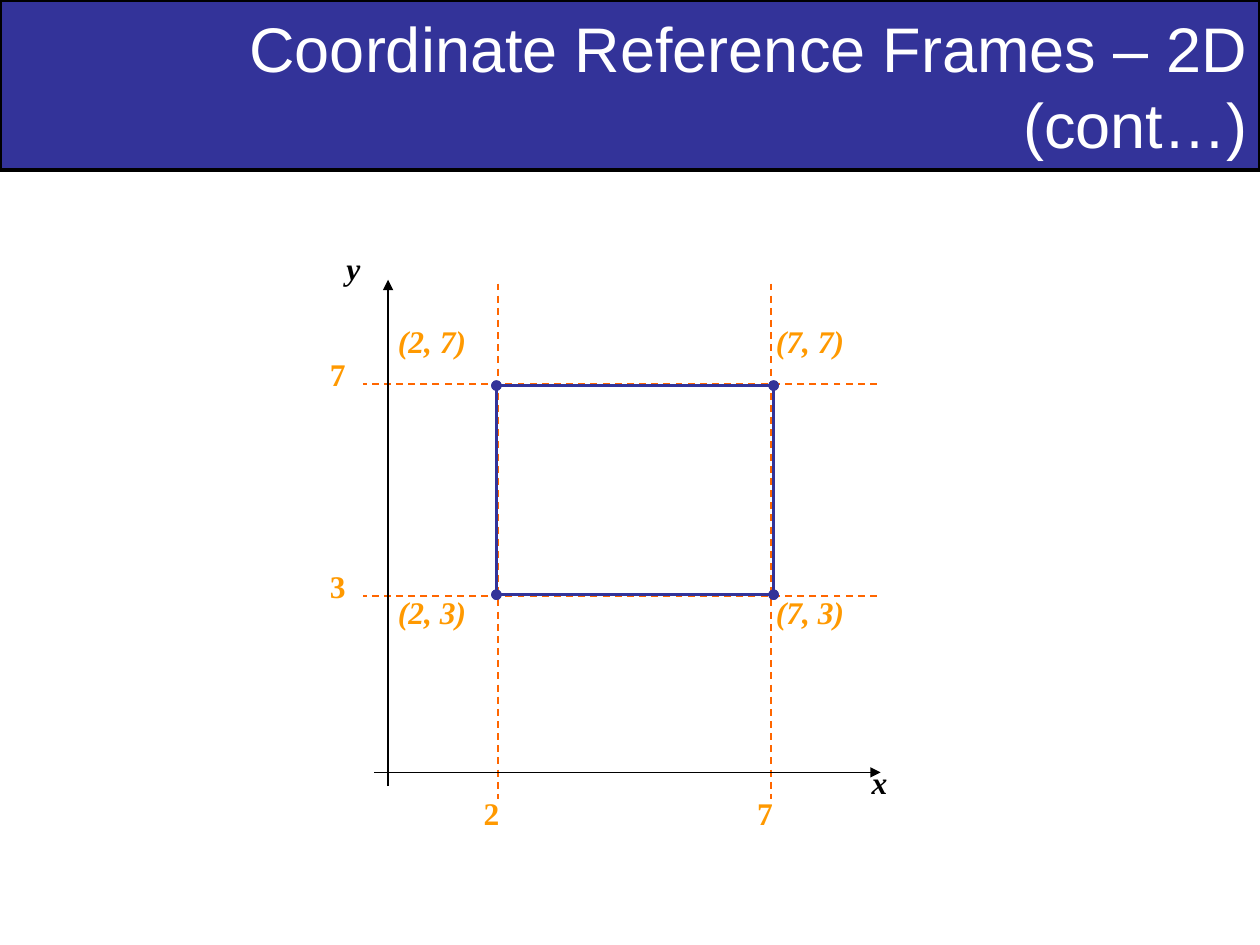
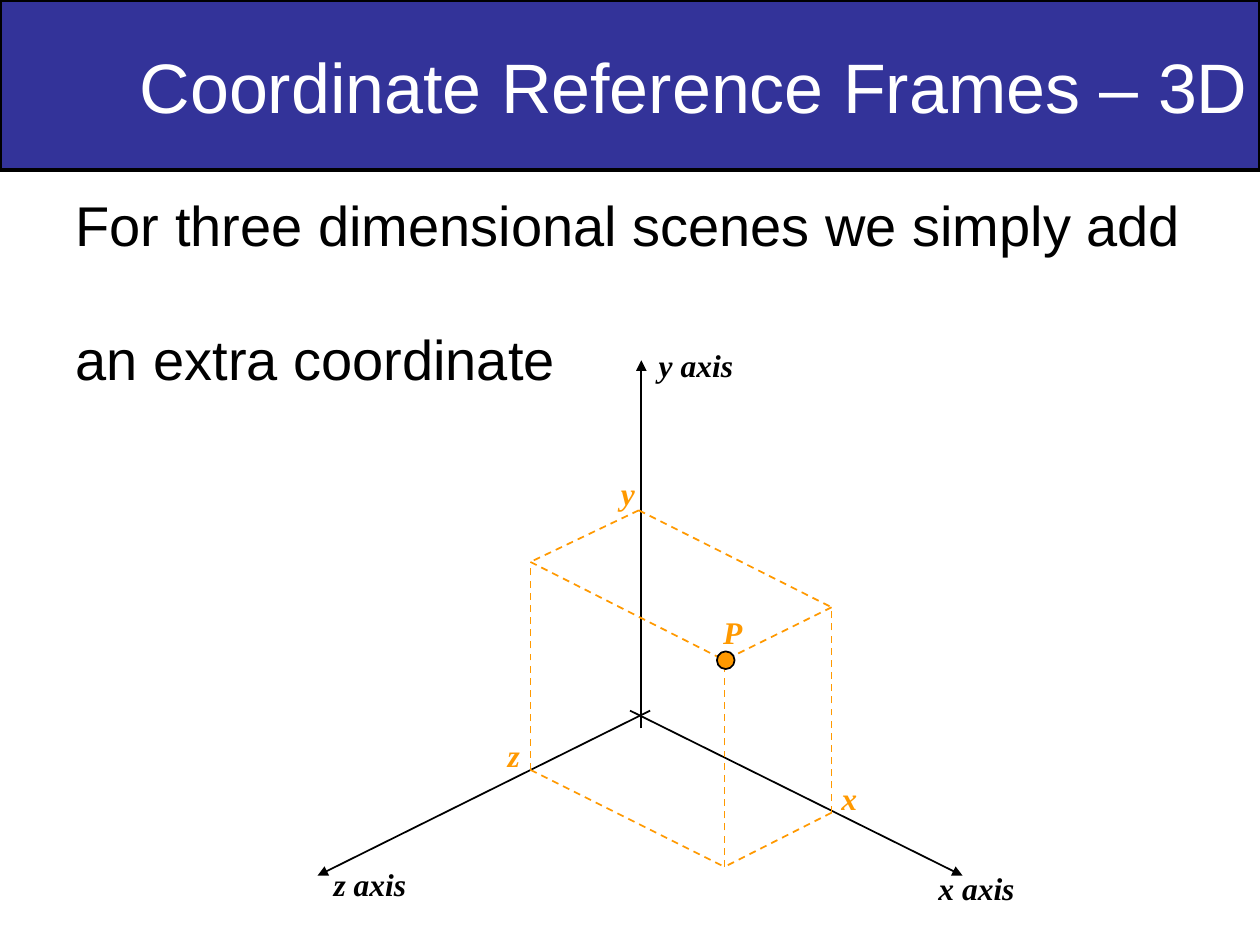
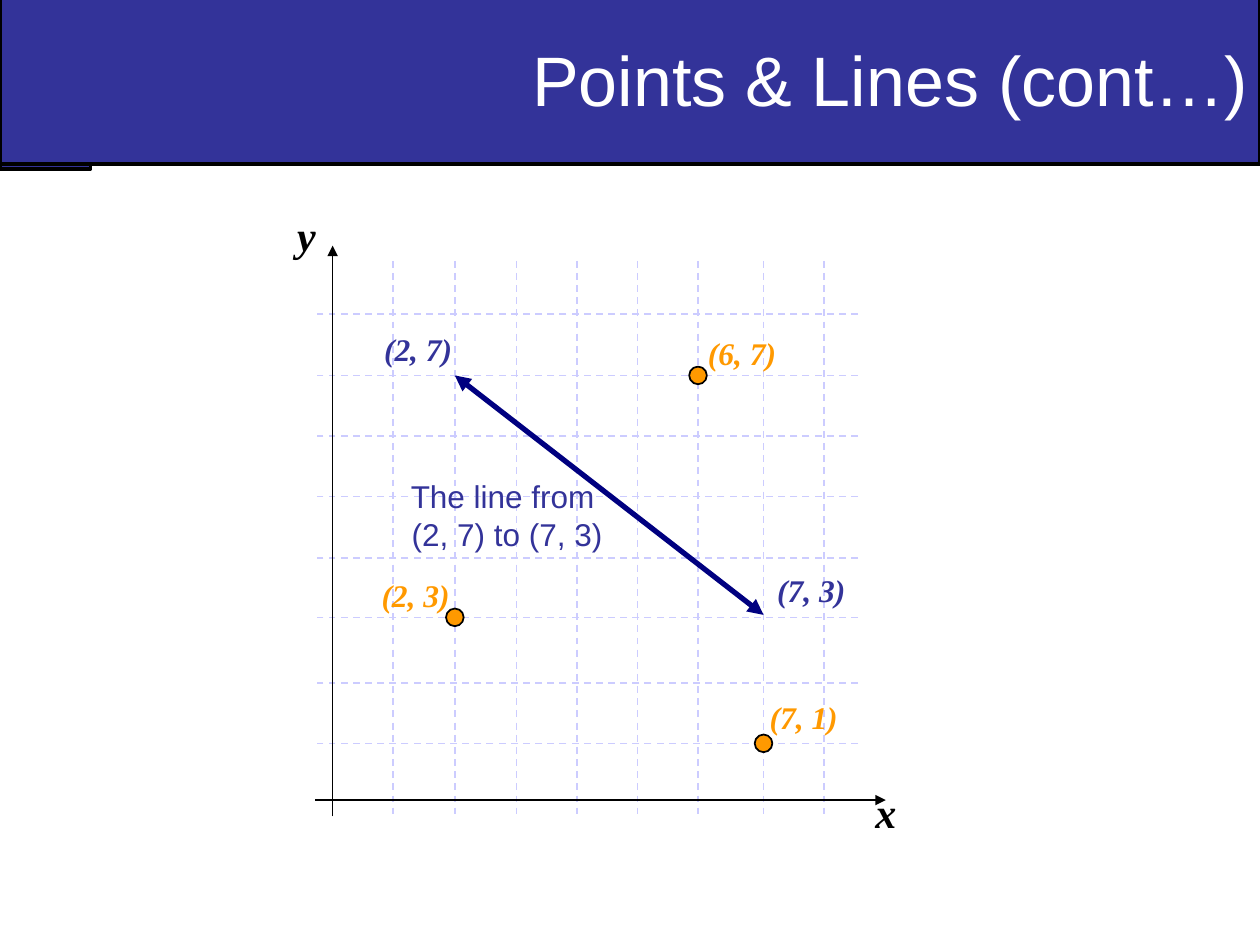
from dataclasses import dataclass
from itertools import product

from lxml import etree
from pptx import Presentation
from pptx.dml.color import RGBColor
from pptx.enum.dml import MSO_LINE
from pptx.enum.shapes import MSO_CONNECTOR, MSO_SHAPE
from pptx.enum.text import MSO_ANCHOR, MSO_AUTO_SIZE, PP_ALIGN
from pptx.oxml.ns import qn
from pptx.util import Inches, Pt

DASH = MSO_LINE.DASH
STRAIGHT = MSO_CONNECTOR.STRAIGHT
RECTANGLE, OVAL = MSO_SHAPE.RECTANGLE, MSO_SHAPE.OVAL
MIDDLE, TOP = MSO_ANCHOR.MIDDLE, MSO_ANCHOR.TOP
NO_FIT, FIT_SHAPE = MSO_AUTO_SIZE.NONE, MSO_AUTO_SIZE.SHAPE_TO_FIT_TEXT
LEFT, CENTER, RIGHT = PP_ALIGN.LEFT, PP_ALIGN.CENTER, PP_ALIGN.RIGHT


@dataclass(frozen=True)
class Theme:
    band: str = "333399"
    ink: str = "000000"
    paper: str = "FFFFFF"
    accent: str = "FF9900"
    guide: str = "FF6600"
    grid: str = "CCCCFF"
    segment: str = "000080"
    sans: str = "Arial"
    serif: str = "Times New Roman"
    title_size: int = 40
    long_title_size: int = 36
    body_size: int = 32
    axis_size: int = 24
    label_size: int = 18


THEME = Theme()


def color(value):
    return RGBColor.from_string(value)


def write_text(text_frame, text, *, size, font, ink, bold=False, italic=False,
               align=LEFT, anchor=TOP):
    text_frame.vertical_anchor = anchor
    paragraph = text_frame.paragraphs[0]
    paragraph.text = text
    paragraph.alignment = align
    paragraph.space_before = Pt(0)
    for run in paragraph.runs:
        run.font.size = Pt(size)
        run.font.name = font
        run.font.bold = bold
        run.font.italic = italic
        run.font.color.rgb = color(ink)
    return paragraph


def paint(shape, fill, line_width):
    shape.fill.solid()
    shape.fill.fore_color.rgb = color(fill)
    shape.line.color.rgb = color(THEME.ink)
    shape.line.width = Pt(line_width)


def place(shape, left, top, width, height):
    shape.left, shape.top = Inches(left), Inches(top)
    shape.width, shape.height = Inches(width), Inches(height)


class Figure:
    def __init__(self, slide, left, top):
        self.shapes = slide.shapes.add_group_shape().shapes
        self.left = left
        self.top = top

    def at(self, point):
        return Inches(self.left + point[0]), Inches(self.top + point[1])

    def line(self, start, end, ink=THEME.ink, width=1, dash=None, head=None, tail=None):
        connector = self.shapes.add_connector(STRAIGHT, *self.at(start), *self.at(end))
        connector.line.color.rgb = color(ink)
        connector.line.width = Pt(width)
        if dash:
            connector.line.dash_style = dash
        properties = connector.element.spPr
        outline = properties.find(qn("a:ln"))
        for tag, kind in (("a:headEnd", head), ("a:tailEnd", tail)):
            if kind:
                etree.SubElement(outline, qn(tag), type=kind)
        etree.SubElement(properties, qn("a:effectLst"))

    def axis(self, start, end):
        self.line(start, end, tail="triangle")

    def dot(self, center, size=0.14):
        corner = (center[0] - size / 2, center[1] - size / 2)
        shape = self.shapes.add_shape(OVAL, *self.at(corner), Inches(size), Inches(size))
        shape.shadow.inherit = False
        paint(shape, THEME.accent, 1)

    def label(self, text, corner, width, height=0.4, **changes):
        box = self.shapes.add_textbox(*self.at(corner), Inches(width), Inches(height))
        box.text_frame.word_wrap = False
        box.text_frame.auto_size = FIT_SHAPE
        style = dict(size=THEME.label_size, font=THEME.serif, ink=THEME.accent,
                     bold=True, italic=True)
        write_text(box.text_frame, text, **{**style, **changes})


def add_master_corner(presentation, slide):
    corner = slide.shapes.add_shape(RECTANGLE, 0, 0, Inches(0.72), Inches(1.34))
    corner.shadow.inherit = False
    paint(corner, THEME.band, 2)
    presentation.slide_master.element.cSld.spTree.insert(2, corner.element)


def add_title(slide, text, top=0, size=THEME.title_size):
    title = slide.shapes.title
    place(title, 0, top, 10, 1.35)
    paint(title, THEME.band, 2)
    title.text_frame.auto_size = NO_FIT
    title.text_frame.margin_left = Inches(0.3)
    write_text(title.text_frame, text, size=size, font=THEME.sans, ink=THEME.paper,
               align=RIGHT, anchor=MIDDLE)


def add_body(slide, text):
    body = slide.placeholders[1]
    place(body, 0.5, 1.46, 9, 6.04)
    body.text_frame.auto_size = NO_FIT
    paragraph = write_text(body.text_frame, text, size=THEME.body_size, font=THEME.sans,
                           ink=THEME.ink)
    properties = paragraph._p.get_or_add_pPr()
    properties.set("marL", "0")
    properties.set("indent", "0")
    etree.SubElement(properties, qn("a:buNone"))


def draw_rectangle_frame(slide, left, top):
    figure = Figure(slide, left, top)
    columns = {2: 1.45, 7: 3.62}
    rows = {3: 2.83, 7: 1.15}
    for x in columns.values():
        figure.line((x, 0.35), (x, 4.44), THEME.guide, dash=DASH)
    for y in rows.values():
        figure.line((4.46, y), (0.38, y), THEME.guide, dash=DASH)
    figure.axis((0.58, 4.34), (0.58, 0.32))
    figure.axis((0.47, 4.23), (4.49, 4.23))
    figure.label("x", (4.32, 4.11), 0.32, ink=THEME.ink)
    figure.label("y", (0.15, 0.03), 0.31, ink=THEME.ink)

    near, far, upper, lower = 1.44, 3.64, 1.16, 2.82
    corners = [(near, upper), (far, upper), (far, lower), (near, lower)]
    for start, end in zip(corners, corners[1:] + corners[:1]):
        figure.line(start, end, THEME.band, 2, head="oval", tail="oval")

    label_columns = {2: 0.56, 7: 3.56}
    label_rows = {3: 2.76, 7: 0.61}
    for x, y in product(columns, rows):
        figure.label(f"({x}, {y})", (label_columns[x], label_rows[y]), 0.74)
    for value, x in columns.items():
        figure.label(str(value), (x - 0.21, 4.35), 0.32, italic=False)
    for value, y in rows.items():
        figure.label(str(value), (0.02, y - 0.28), 0.32, italic=False)


def draw_box_in_space(slide, left, top):
    figure = Figure(slide, left, top)
    figure.axis((2.59, 3.08), (2.59, 0.16))
    figure.axis((2.5, 2.94), (5.14, 4.25))
    figure.axis((2.66, 2.94), (0.02, 4.25))
    for text, corner in (("x axis", (4.85, 4.15)), ("y axis", (2.63, 0)),
                         ("z axis", (0.05, 4.12))):
        figure.label(text, corner, 0.84, ink=THEME.ink)

    y_mark, x_mark, z_mark = (2.57, 1.35), (4.1, 3.75), (1.71, 3.41)
    z_top, x_top = (1.71, 1.76), (4.1, 2.12)
    point, floor = (3.25, 2.54), (3.25, 4.18)
    edges = ((z_mark, floor), (z_mark, z_top), (y_mark, z_top),
             (z_top, point), (floor, point), (x_top, point),
             (y_mark, x_top), (x_mark, x_top), (x_mark, floor))
    for start, end in edges:
        figure.line(start, end, THEME.accent, dash=DASH)
    figure.dot((3.26, 2.54))
    for text, corner, width in (("P", (3.14, 2.12), 0.35), ("y", (2.33, 1.01), 0.31),
                                ("z", (1.43, 3.09), 0.29), ("x", (4.08, 3.43), 0.32)):
        figure.label(text, corner, width)


def draw_points_grid(slide, left, top):
    figure = Figure(slide, left, top)
    columns = dict(enumerate((0.92, 1.41, 1.9, 2.38, 2.86, 3.34, 3.86, 4.34), 1))
    rows = dict(enumerate((4.3, 3.82, 3.3, 2.83, 2.34, 1.86, 1.38, 0.89), 1))
    for x in columns.values():
        figure.line((x, 0.47), (x, 4.86), THEME.grid, dash=DASH)
    for y in rows.values():
        figure.line((4.61, y), (0.32, y), THEME.grid, dash=DASH)
    figure.line((columns[2], rows[7]), (columns[7], rows[3] - 0.02), THEME.segment, 3,
                head="triangle", tail="triangle")
    figure.axis((0.44, 4.88), (0.44, 0.35))
    figure.axis((0.3, 4.75), (4.83, 4.75))
    for text, corner in (("x", (4.65, 4.59)), ("y", (0.06, 0.01))):
        figure.label(text, corner, 0.36, 0.5, size=THEME.axis_size, ink=THEME.ink)

    for x, y, corner in ((2, 3, (0.73, 2.92)), (6, 7, (3.32, 1)), (7, 1, (3.81, 3.89))):
        figure.label(f"({x}, {y})", corner, 0.74)
        figure.dot((columns[x], rows[y]))
    for text, corner in (("(7, 3)", (3.87, 2.88)), ("(2, 7)", (0.75, 0.97))):
        figure.label(text, corner, 0.74, ink=THEME.band)
    figure.label("The line from \v(2, 7) to (7, 3)", (0.96, 2.14), 1.73, 0.7,
                 font=THEME.sans, ink=THEME.band, bold=False, italic=False, align=CENTER)


def main():
    presentation = Presentation()
    presentation.slide_width, presentation.slide_height = Inches(10), Inches(7.5)
    title_and_body, title_only = (presentation.slide_layouts[index] for index in (1, 5))

    slide = presentation.slides.add_slide(title_only)
    add_master_corner(presentation, slide)
    add_title(slide, "Coordinate Reference Frames – 2D (cont…)", size=THEME.long_title_size)
    draw_rectangle_frame(slide, 2.5, 1.9)

    slide = presentation.slides.add_slide(title_and_body)
    add_title(slide, "Coordinate Reference Frames – 3D")
    add_body(slide, "For three dimensional scenes we simply add \van extra coordinate")
    draw_box_in_space(slide, 2.5, 2.7)

    slide = presentation.slides.add_slide(title_only)
    add_title(slide, "Points & Lines (cont…)", top=-0.05)
    draw_points_grid(slide, 2.2, 1.6)

    presentation.save("out.pptx")


if __name__ == "__main__":
    main()
